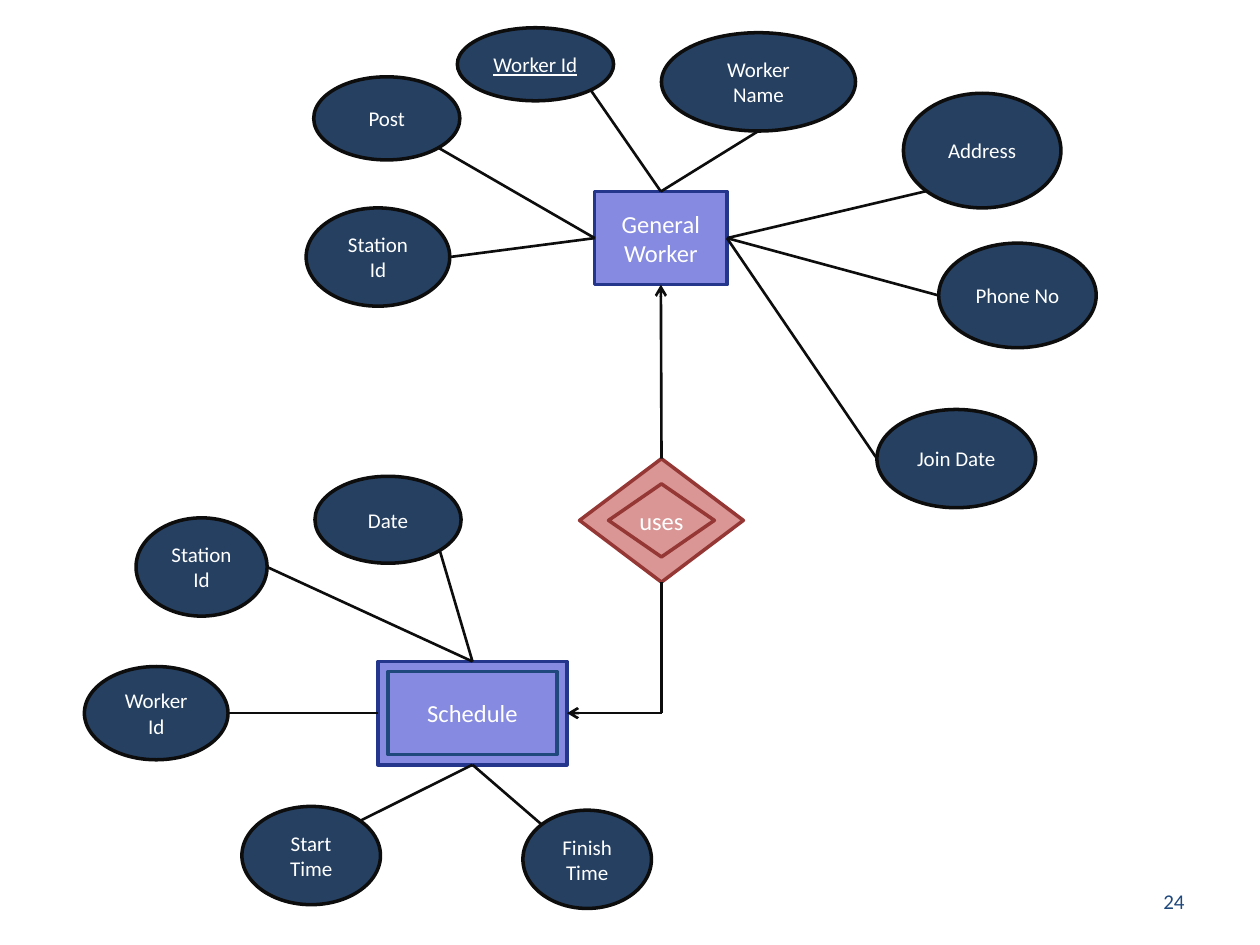
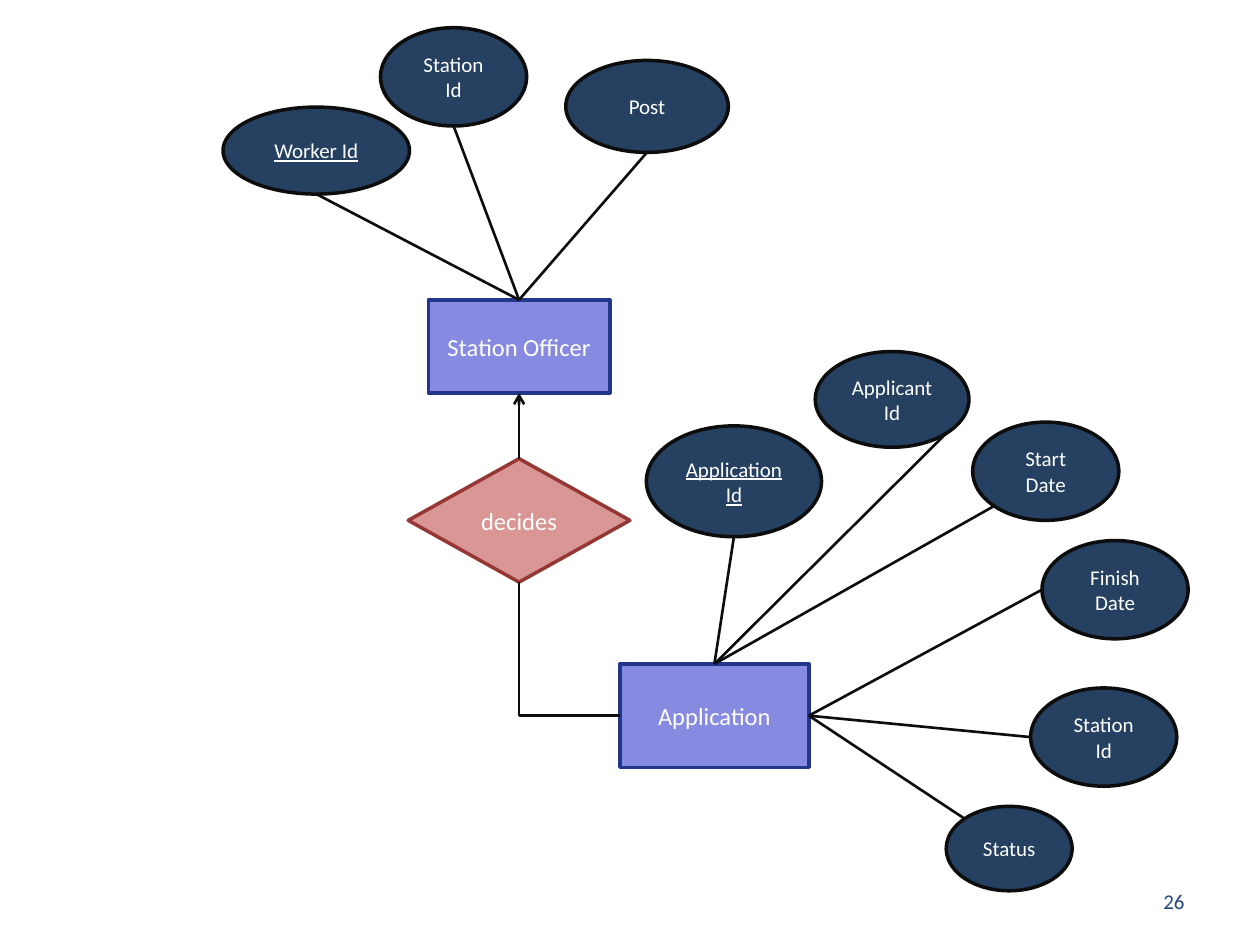
import collections

import pptx
import pptx.dml.color
import pptx.enum.shapes
import pptx.enum.text
import pptx.oxml.ns
import pptx.util
from lxml import etree

Inches, Pt = pptx.util.Inches, pptx.util.Pt
KIND = pptx.enum.shapes.MSO_SHAPE
ALIGN = pptx.enum.text.PP_ALIGN
FONT = "Calibri"
COLORS = {
    "entity": "868AE0", "edge": "24358C", "weak": "1F497D",
    "link": "D99694", "rim": "953735", "attr": "254061",
    "ink": "0D0D0D", "text": "FFFFFF", "page": "1F497D",
}
DIAG = 0.3536  # half of the cosine of 45 degrees
PORTS = {
    "t": (0, -0.5), "b": (0, 0.5), "l": (-0.5, 0), "r": (0.5, 0),
    "tl": (-DIAG, -DIAG), "tr": (DIAG, -DIAG),
    "bl": (-DIAG, DIAG), "br": (DIAG, DIAG),
}


class Box(collections.namedtuple("Box", "x y w h")):
    def port(self, side):
        """Point on the edge at a compass side."""
        across, down = PORTS[side]
        return self.x + self.w * (0.5 + across), self.y + self.h * (0.5 + down)

    def inset(self, dx, dy):
        return Box(self.x + dx, self.y + dy, self.w - 2 * dx, self.h - 2 * dy)

    def shift(self, x, y):
        return Box(self.x + x, self.y + y, self.w, self.h)


def rgb(name):
    return pptx.dml.color.RGBColor.from_string(COLORS[name])


def write(frame, text, size, color, align, key=False):
    frame.word_wrap = True
    frame.vertical_anchor = pptx.enum.text.MSO_ANCHOR.MIDDLE
    par = frame.paragraphs[0]
    par.text = text
    par.alignment = align
    par.font.name = FONT
    par.font.size = Pt(size)
    par.font.color.rgb = rgb(color)
    if key:
        par.font.underline = True


def draw(slide, kind, box, edge, fill=None, text="", size=14, key=False):
    shape = slide.shapes.add_shape(kind, *map(Inches, box))
    shape.shadow.inherit = False
    shape.line.color.rgb = rgb(edge)
    shape.line.width = Pt(2)
    if fill:
        shape.fill.solid()
        shape.fill.fore_color.rgb = rgb(fill)
    else:
        shape.fill.background()
    if text:
        write(shape.text_frame, text, size, "text", ALIGN.CENTER, key)


def join(slide, start, end, arrow=False):
    """Straight line, with an optional arrowhead at its start."""
    line = slide.shapes.add_connector(
        pptx.enum.shapes.MSO_CONNECTOR.STRAIGHT, *map(Inches, start + end))
    line.line.color.rgb = rgb("ink")
    line.line.width = Pt(1.5)
    qn = pptx.oxml.ns.qn
    if arrow:
        etree.SubElement(line.line._get_or_add_ln(), qn("a:headEnd"), type="arrow")
    etree.SubElement(line._element.spPr, qn("a:effectLst"))


def entity(slide, box, name, attrs, weak=False):
    """Entity with its attributes, offset from the entity's top left corner."""
    draw(slide, KIND.RECTANGLE, box, "edge", "entity", name)
    if weak:
        draw(slide, KIND.RECTANGLE, box.inset(0.08, 0.08), "weak")
    for label, place, port, side, *key in attrs:
        oval = Box(*place).shift(box.x, box.y)
        join(slide, oval.port(port), box.port(side))
        draw(slide, KIND.OVAL, oval, "ink", "attr", label, 12, bool(key))


def relate(slide, box, name, upper, lower, side, arrow=False, weak=False):
    """Relation below one entity and beside another."""
    draw(slide, KIND.FLOWCHART_DECISION, box, "rim", "link", name)
    if weak:
        draw(slide, KIND.FLOWCHART_DECISION, box.inset(0.23, 0.2), "rim")
    end = lower.port(side)
    foot = box.port("b")
    bend = foot[0], end[1]
    join(slide, upper.port("b"), box.port("t"), True)
    join(slide, foot, bend)
    join(slide, end, bend, arrow)


def number(slide, box, text):
    frame = slide.shapes.add_textbox(*map(Inches, box)).text_frame
    write(frame, text, 12, "page", ALIGN.RIGHT)


WORKER = [
    ("Worker Id", (-1.09, -1.3, 1.24, 0.58), "br", "t", "key"),
    ("Worker Name", (0.53, -1.26, 1.54, 0.78), "b", "t"),
    ("Address", (2.45, -0.78, 1.25, 0.91), "bl", "r"),
    ("Phone No", (2.73, 0.41, 1.25, 0.83), "l", "r"),
    ("Join Date", (2.24, 1.73, 1.26, 0.78), "l", "r"),
    ("Station Id", (-2.29, 0.13, 1.14, 0.78), "r", "l"),
    ("Post", (-2.23, -0.91, 1.16, 0.66), "br", "l"),
]
SCHEDULE = [
    ("Start Time", (-1.08, 1.15, 1.1, 0.78), "tr", "b"),
    ("Worker Id", (-2.33, 0.04, 1.14, 0.74), "r", "l"),
    ("Date", (-0.5, -1.47, 1.16, 0.69), "br", "t"),
    ("Station Id", (-1.92, -1.14, 1.04, 0.78), "r", "t"),
    ("Finish Time", (1.15, 1.18, 1.02, 0.78), "tl", "b"),
]
OFFICER = [
    ("Station Id", (-0.38, -2.16, 1.16, 0.78), "b", "t"),
    ("Worker Id", (-1.63, -1.53, 1.48, 0.69), "b", "t", "key"),
    ("Post", (1.09, -1.9, 1.29, 0.73), "b", "t"),
]
APPLICATION = [
    ("Application Id", (0.21, -1.89, 1.39, 0.88), "b", "t", "key"),
    ("Applicant Id", (1.55, -2.48, 1.22, 0.76), "br", "t"),
    ("Start Date", (2.8, -1.92, 1.16, 0.78), "bl", "t"),
    ("Finish Date", (3.35, -0.98, 1.16, 0.78), "l", "r"),
    ("Station Id", (3.26, 0.19, 1.16, 0.78), "l", "r"),
    ("Status", (2.59, 1.13, 1, 0.67), "tl", "r"),
]
PAGE = Box(7.17, 6.95, 2.33, 0.4)


def roster(slide):
    """General worker uses schedule."""
    worker, plan = Box(4.72, 1.52, 1.05, 0.74), Box(3, 5.25, 1.5, 0.82)
    entity(slide, plan, "Schedule", SCHEDULE, weak=True)
    entity(slide, worker, "General\vWorker", WORKER)
    relate(slide, Box(4.6, 3.64, 1.3, 0.98), "uses", worker, plan, "r",
           arrow=True, weak=True)
    number(slide, PAGE, "24")


def ruling(slide):
    """Station officer decides application."""
    chief, form = Box(3.4, 2.38, 1.44, 0.74), Box(4.92, 5.27, 1.5, 0.82)
    entity(slide, form, "Application", APPLICATION)
    entity(slide, chief, "Station Officer", OFFICER)
    relate(slide, Box(3.24, 3.64, 1.76, 0.98), "decides", chief, form, "l")
    number(slide, PAGE, "26")


def main():
    deck = pptx.Presentation()
    deck.slide_width, deck.slide_height = Inches(10), Inches(7.5)
    for build in (roster, ruling):
        build(deck.slides.add_slide(deck.slide_layouts[6]))
    deck.save("out.pptx")


if __name__ == "__main__":
    main()
